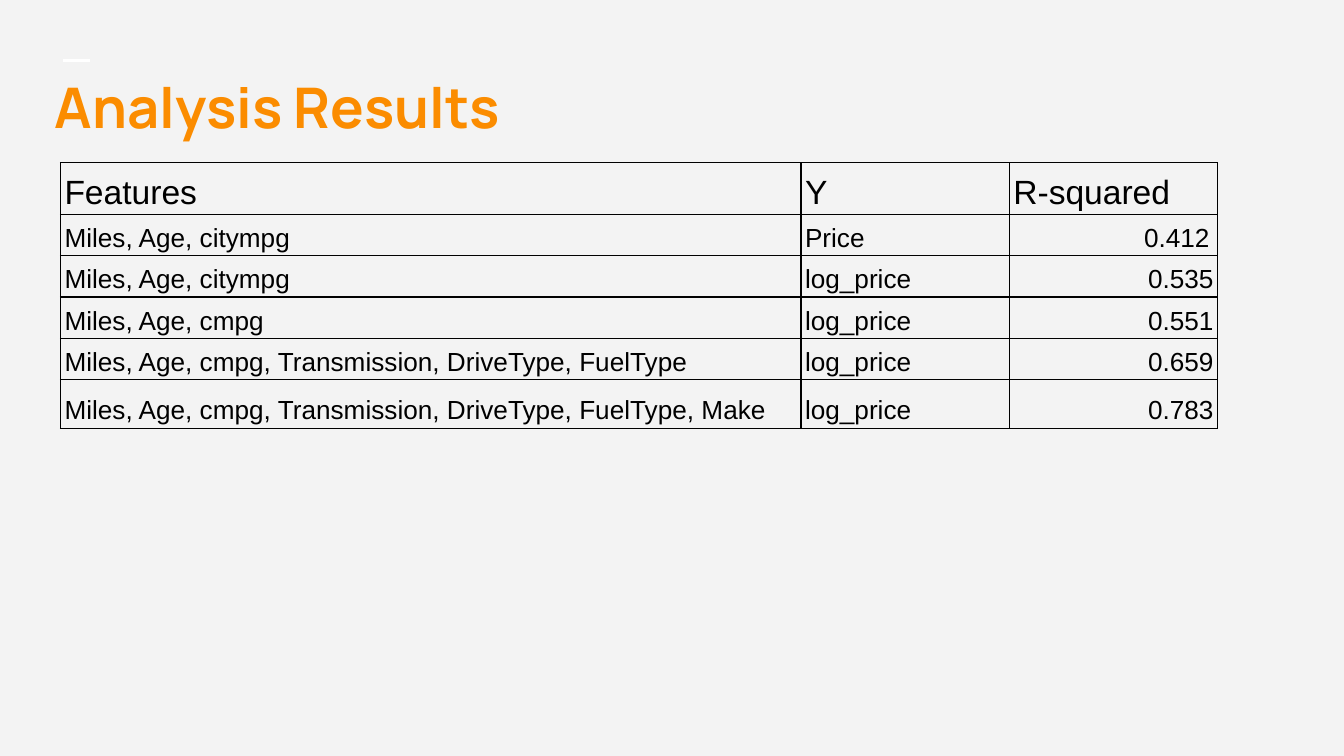
from lxml.etree import SubElement
from pptx import Presentation
from pptx.dml.color import RGBColor
from pptx.enum.shapes import MSO_CONNECTOR
from pptx.enum.text import MSO_ANCHOR, PP_ALIGN
from pptx.oxml.ns import qn
from pptx.util import Inches, Pt

COLORS = {"background": "F3F3F3", "title": "FB8C00", "rule": "FFFFFF", "ink": "000000"}
TITLE = "Analysis Results"
RESULTS = [
    ("Features", "Y", "R-squared"),
    ("Miles, Age, citympg", "Price", "0.412"),
    ("Miles, Age, citympg", "log_price", "0.535"),
    ("Miles, Age, cmpg", "log_price", "0.551"),
    ("Miles, Age, cmpg, Transmission, DriveType, FuelType", "log_price", "0.659"),
    ("Miles, Age, cmpg, Transmission, DriveType, FuelType, Make", "log_price", "0.783"),
]
COLUMN_WIDTHS = [5.51, 1.55, 1.55]
ROW_HEIGHTS = [0.22] * 5 + [0.36]


def color(name):
    return RGBColor.from_string(COLORS[name])


def format_paragraph(paragraph, font_name, size, color_name, bold=False):
    for run in paragraph.runs:
        run.font.name = font_name
        run.font.size = Pt(size)
        run.font.bold = bold
        run.font.color.rgb = color(color_name)


def add_borders(cell):
    properties = cell._tc.get_or_add_tcPr()
    for position, side in enumerate(("lnL", "lnR", "lnT", "lnB")):
        line = properties.makeelement(qn(f"a:{side}"), {"w": str(Pt(0.75))})
        fill = SubElement(line, qn("a:solidFill"))
        SubElement(fill, qn("a:srgbClr"), val=COLORS["ink"])
        properties.insert(position, line)


# Widescreen slide, 16:9
presentation = Presentation()
presentation.slide_width = Inches(10)
presentation.slide_height = Inches(10) * 9 // 16
slide = presentation.slides.add_slide(presentation.slide_layouts[6])
slide.background.fill.solid()
slide.background.fill.fore_color.rgb = color("background")

# Short rule above the title
rule = slide.shapes.add_connector(
    MSO_CONNECTOR.STRAIGHT, Inches(0.47), Inches(0.45), Inches(0.67), Inches(0.45))
rule.line.color.rgb = color("rule")
rule.line.width = Pt(1.5)
SubElement(rule._element.spPr, qn("a:effectLst"))

# Title
title = slide.shapes.add_textbox(Inches(0.31), Inches(0.37), Inches(9.37), Inches(0.84))
frame = title.text_frame
frame.word_wrap = True
frame.vertical_anchor = MSO_ANCHOR.MIDDLE
frame.margin_left = frame.margin_right = frame.margin_top = frame.margin_bottom = Inches(0.1)
frame.text = TITLE
format_paragraph(frame.paragraphs[0], "Manrope", 30, "title", bold=True)

# Results table
table = slide.shapes.add_table(
    len(RESULTS), len(COLUMN_WIDTHS), Inches(0.45), Inches(1.21),
    Inches(sum(COLUMN_WIDTHS)), Inches(sum(ROW_HEIGHTS))).table
table.first_row = table.horz_banding = False
for column, width in zip(table.columns, COLUMN_WIDTHS):
    column.width = Inches(width)
for row, height in zip(table.rows, ROW_HEIGHTS):
    row.height = Inches(height)

for row_index, values in enumerate(RESULTS):
    for column_index, value in enumerate(values):
        cell = table.cell(row_index, column_index)
        cell.fill.background()
        cell.vertical_anchor = MSO_ANCHOR.BOTTOM
        cell.margin_left = cell.margin_right = Inches(0.03)
        cell.margin_top = cell.margin_bottom = Inches(0.02)
        cell.text_frame.text = value
        paragraph = cell.text_frame.paragraphs[0]
        paragraph.line_spacing = 1.15
        if row_index > 0 and column_index == 2:
            paragraph.alignment = PP_ALIGN.RIGHT
        format_paragraph(paragraph, "Arial", 14 if row_index else 18, "ink")
        add_borders(cell)

# The first score sits slightly further in
table.cell(1, 2).margin_right = Inches(0.06)

presentation.save("out.pptx")
